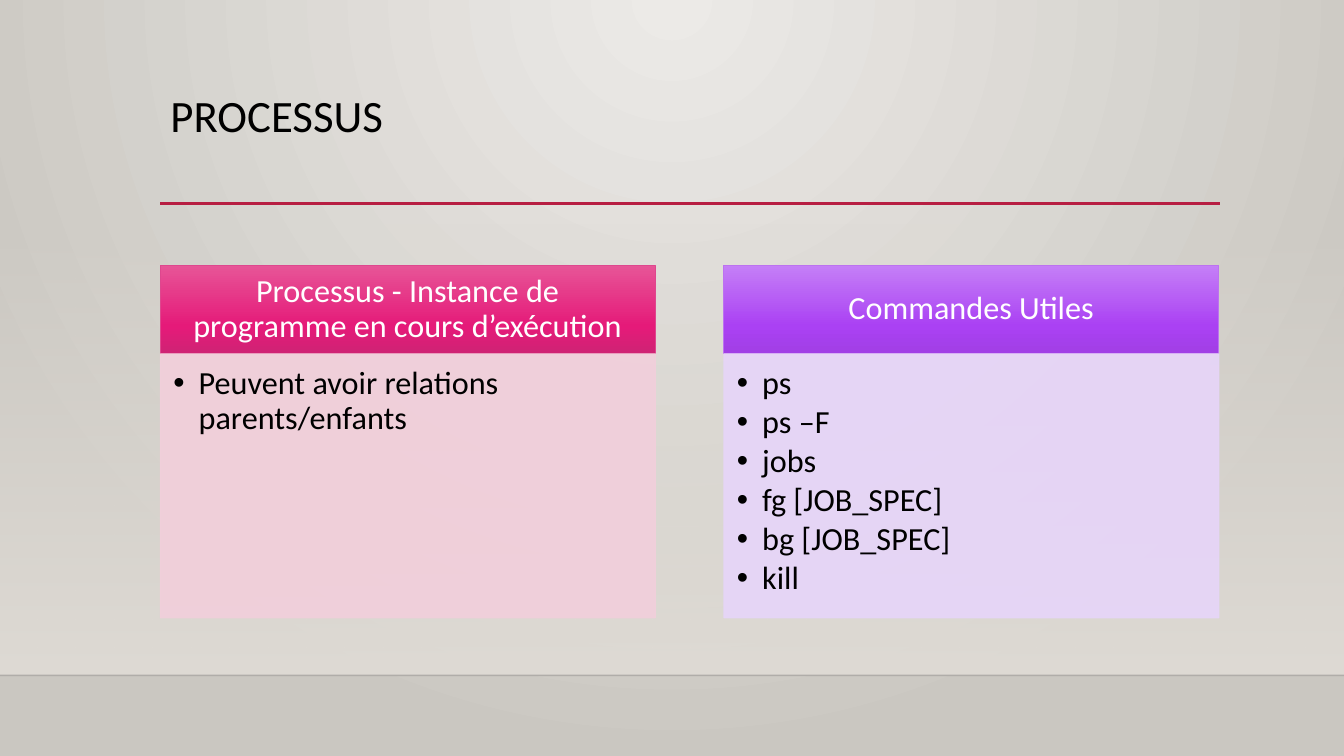
import dataclasses

import lxml.etree
import pptx
import pptx.dml.color
import pptx.enum.shapes
import pptx.enum.text
import pptx.oxml.ns
import pptx.util

qn = pptx.oxml.ns.qn
RGB = pptx.dml.color.RGBColor.from_string
PP_ALIGN = pptx.enum.text.PP_ALIGN
ANCHOR = pptx.enum.text.MSO_ANCHOR
Inches, Pt = pptx.util.Inches, pptx.util.Pt


@dataclasses.dataclass(frozen=True)
class Theme:
    font: str = "Calibri"
    title_size: int = 32
    body_size: int = 23
    ink: str = "000000"
    white: str = "FFFFFF"
    accent: str = "B71E42"
    wall: str = "DFDBD5"
    glow: str = "ECEAE7"
    edge: str = "CAC7C1"
    floor_line: str = "000001"


@dataclasses.dataclass(frozen=True)
class Stop:
    position: int
    color: str
    opacity: int = 100


@dataclasses.dataclass(frozen=True)
class Box:
    """A rectangle in percent of the slide's width and height."""
    left: float
    top: float
    width: float
    height: float


@dataclasses.dataclass(frozen=True)
class Rule:
    """A horizontal line in percent of the slide's width and height."""
    left: float
    right: float
    y: float
    color: str
    weight: float
    opacity: int = 100


@dataclasses.dataclass(frozen=True)
class Panel:
    heading: str
    items: tuple[str, ...]
    heading_idx: int
    list_idx: int
    shades: tuple[str, str, str]
    heading_line: str
    tint: str


THEME = Theme()
SLIDE_W, SLIDE_H = Inches(13.33), Inches(7.5)
MARGIN, COLUMN_W, COLUMN_STEP = 11.93, 36.83, 41.93
HEADING_TOP, HEADING_H, LIST_H = 35.07, 11.73, 34.93
WALL_TOP, FLOOR = 29.47, 89.33

RULES = (
    Rule(0, 100, FLOOR, THEME.floor_line, 1, 20),
    Rule(MARGIN, 90.77, 26.93, THEME.accent, 2.5),
)
PANELS = (
    Panel("Processus - Instance de programme en cours d’exécution",
          ("Peuvent avoir relations parents/enfants",),
          1, 2, ("E75597", "E51A79", "CF2374"), "DE478E", "F2CFDB"),
    Panel("Commandes Utiles",
          ("ps", "ps –F", "jobs", "fg [JOB_SPEC]", "bg [JOB_SPEC]", "kill"),
          3, 4, ("C57FF7", "AA41F3", "A13FE5"), "BC72F0", "E7D5F9"),
)


def across(share: float) -> int:
    return round(SLIDE_W * share / 100)


def down(share: float) -> int:
    return round(SLIDE_H * share / 100)


def place(sp, box: Box) -> None:
    sp.left, sp.top = across(box.left), down(box.top)
    sp.width, sp.height = across(box.width), down(box.height)


def set_opacity(root, opacity: int) -> None:
    for color in root.iter(qn("a:srgbClr")):
        lxml.etree.SubElement(color, qn("a:alpha"), val=str(opacity * 1000))


def set_gradient(fill, root, stops: tuple[Stop, ...], radial: bool = False) -> None:
    """Fill with stops running downwards, or outwards from the top centre."""
    fill.gradient()
    grad = next(root.iter(qn("a:gradFill")))
    for child in list(grad):
        grad.remove(child)
    stop_list = lxml.etree.SubElement(grad, qn("a:gsLst"))
    for stop in stops:
        gs = lxml.etree.SubElement(stop_list, qn("a:gs"), pos=str(stop.position * 1000))
        lxml.etree.SubElement(gs, qn("a:srgbClr"), val=stop.color)
        set_opacity(gs, stop.opacity)
    if radial:
        path = lxml.etree.SubElement(grad, qn("a:path"), path="circle")
        lxml.etree.SubElement(path, qn("a:fillToRect"),
                              l="43000", t="0", r="43000", b="100000")
    else:
        lxml.etree.SubElement(grad, qn("a:lin"), ang="5400000", scaled="0")


def write(sp, text: str, size: int, color: str, align: PP_ALIGN, anchor: ANCHOR,
          insets: tuple[float, float, float, float], space_after: float = 0) -> None:
    tf = sp.text_frame
    tf.text = text
    tf.word_wrap = True
    tf.auto_size = pptx.enum.text.MSO_AUTO_SIZE.NONE
    tf.vertical_anchor = anchor
    tf.margin_left, tf.margin_top, tf.margin_right, tf.margin_bottom = map(Inches, insets)
    for p in tf.paragraphs:
        p.alignment = align
        p.line_spacing = 0.9
        p.space_before, p.space_after = Pt(0), Pt(space_after)
        for r in p.runs:
            r.font.name, r.font.size = THEME.font, Pt(size)
            r.font.bold = False
            r.font.color.rgb = RGB(color)


def add_bullets(sp) -> None:
    for p in sp.text_frame.paragraphs:
        pPr = p._p.get_or_add_pPr()
        pPr.set("marL", str(Inches(0.25)))
        pPr.set("indent", str(Inches(-0.25)))
        lxml.etree.SubElement(pPr, qn("a:buChar"), char="•")


def draw_wall(s):
    wall = s.shapes.add_shape(pptx.enum.shapes.MSO_SHAPE.RECTANGLE, 0, 0, 0, 0)
    place(wall, Box(0, WALL_TOP, 100, FLOOR - WALL_TOP))
    wall.shadow.inherit = False
    wall.line.fill.background()
    set_gradient(wall.fill, wall.element,
                 (Stop(0, THEME.wall, 0), Stop(100, THEME.wall)))
    return wall


def draw_rule(s, rule: Rule):
    line = s.shapes.add_connector(
        pptx.enum.shapes.MSO_CONNECTOR.STRAIGHT,
        across(rule.left), down(rule.y), across(rule.right), down(rule.y))
    line.line.color.rgb = RGB(rule.color)
    line.line.width = Pt(rule.weight)
    spPr = line.element.spPr
    set_opacity(spPr, rule.opacity)
    lxml.etree.SubElement(spPr, qn("a:effectLst"))
    return line


def draw_panel(s, panel: Panel, column: int) -> None:
    left = MARGIN + column * COLUMN_STEP
    heading = s.placeholders[panel.heading_idx]
    place(heading, Box(left, HEADING_TOP, COLUMN_W, HEADING_H))
    set_gradient(heading.fill, heading.element,
                 tuple(map(Stop, (0, 69, 100), panel.shades)))
    heading.line.color.rgb = RGB(panel.heading_line)
    write(heading, panel.heading, THEME.body_size, THEME.white,
          PP_ALIGN.CENTER, ANCHOR.MIDDLE, (0.18, 0.1, 0.18, 0.1))

    body = s.placeholders[panel.list_idx]
    place(body, Box(left, HEADING_TOP + HEADING_H, COLUMN_W, LIST_H))
    body.fill.solid()
    body.fill.fore_color.rgb = body.line.color.rgb = RGB(panel.tint)
    set_opacity(body.element.spPr, 90)
    write(body, "\n".join(panel.items), THEME.body_size, THEME.ink,
          PP_ALIGN.LEFT, ANCHOR.TOP, (0.13, 0.13, 0.18, 0.2), space_after=3)
    add_bullets(body)
    for sp in (heading, body):
        sp.line.width = Pt(0.75)


def main() -> None:
    prs = pptx.Presentation()
    prs.slide_width, prs.slide_height = SLIDE_W, SLIDE_H
    s = prs.slides.add_slide(prs.slide_layouts.get_by_name("Comparison"))
    set_gradient(s.background.fill, s.element,
                 (Stop(0, THEME.glow), Stop(100, THEME.edge)), radial=True)

    title = s.shapes.title
    place(title, Box(MARGIN, 11.73, 78.77, 15.33))
    write(title, "PROCESSUS", THEME.title_size, THEME.ink,
          PP_ALIGN.LEFT, ANCHOR.TOP, (0.1, 0.05, 0.1, 0.05))
    for backdrop in (draw_wall(s), *(draw_rule(s, rule) for rule in RULES)):
        title.element.addprevious(backdrop.element)
    for column, panel in enumerate(PANELS):
        draw_panel(s, panel, column)
    prs.save("out.pptx")


if __name__ == "__main__":
    main()
